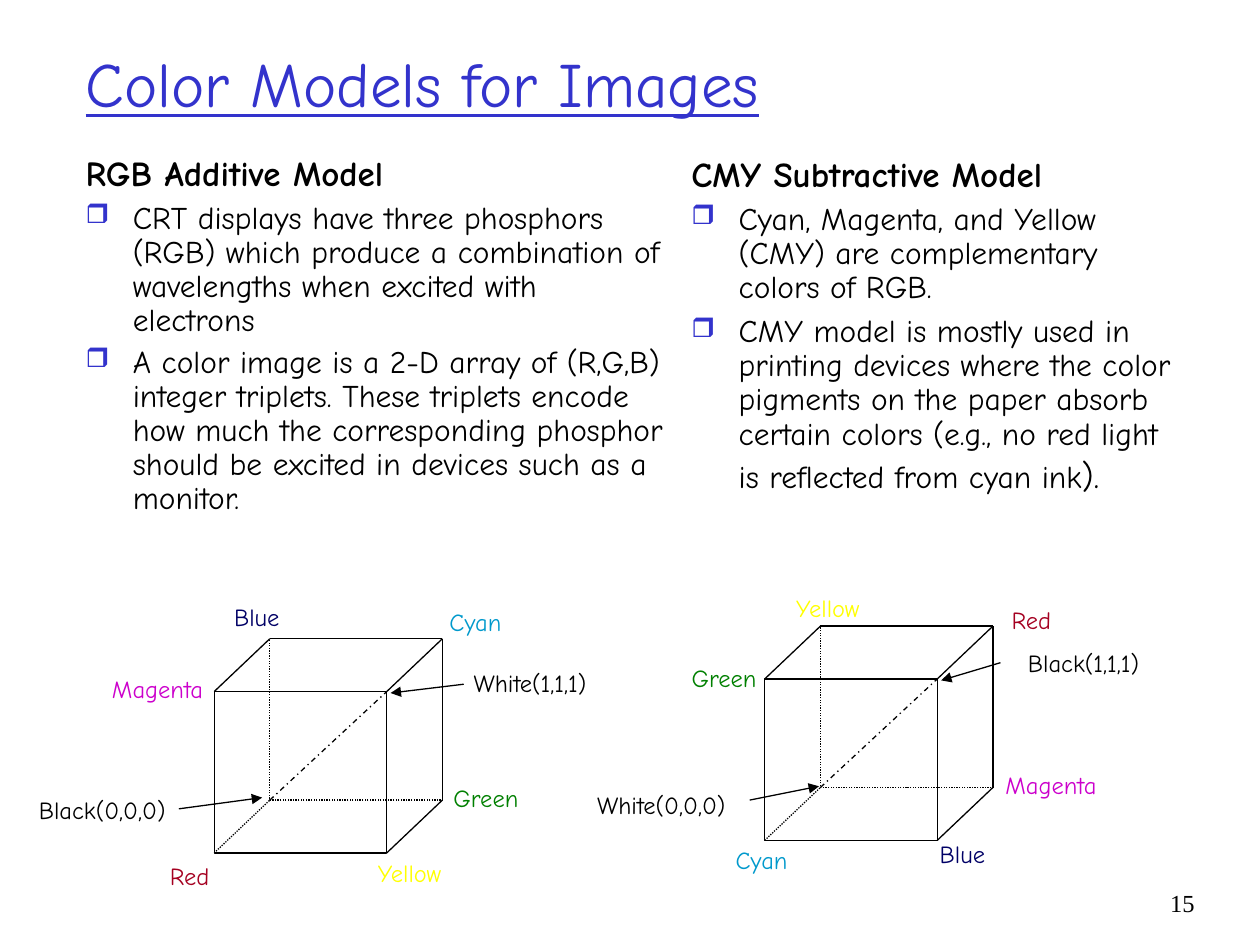
from lxml.etree import SubElement
from pptx import Presentation
from pptx.dml.color import RGBColor
from pptx.enum.dml import MSO_LINE
from pptx.enum.shapes import MSO_CONNECTOR, MSO_SHAPE
from pptx.enum.text import MSO_ANCHOR, PP_ALIGN
from pptx.oxml.ns import qn
from pptx.util import Pt

COLORS = {
    "title": "3333CC", "Black": "000000", "White": "000000",
    "Blue": "000066", "Cyan": "0099CC", "Red": "A50021",
    "Yellow": "FFFF00", "Green": "008000", "Magenta": "CC00CC",
}
FONT = "Comic Neue"
INDENT = 27
FRONT_W, FRONT_H = 98.6, 92.2

LEFT_TEXT = ("RGB Additive Model", [
    (4.5, [("CRT displays have three phosphors (RGB) which produce a combination "
            "of wavelengths when excited with electrons", 18)]),
    (4.5, [("A color image is a 2-D array of (R,G,B) integer triplets. These "
            "triplets encode how much the corresponding phosphor should be "
            "excited in devices such as a monitor.", 18)]),
])
RIGHT_TEXT = ("CMY Subtractive Model", [
    (4.5, [("Cyan, Magenta, and Yellow (CMY) are complementary colors of RGB.", 18)]),
    (6, [("CMY model is mostly used in printing devices where the color pigments "
          "on the paper absorb certain colors (e.g., no red light is reflected "
          "from cyan ink", 18), (").", 20), (" ", 24)]),
])

RGB_LABELS = [
    ("Blue", 4.3, -24.4, 50), ("Cyan", 127.4, -21.6, 50),
    ("Magenta", -65.5, 16.6, 70.6), ("White(1,1,1)", 141.1, 13, 98),
    ("Black(0,0,0)", -107.3, 85.7, 98), ("Green", 129.6, 79.2, 60),
    ("Red", -32.4, 123.2, 50), ("Yellow", 86.4, 121.7, 60),
]
CMY_LABELS = [
    ("Yellow", 10.8, -22.3, 60), ("Red", 134, -15.8, 50),
    ("Green", -48.9, 17.3, 60), ("Black(1,1,1)", 143.3, 8.7, 98),
    ("White(0,0,0)", -102.9, 90, 101.5), ("Magenta", 130.4, 78.5, 70.6),
    ("Cyan", -23.7, 121.7, 50), ("Blue", 92.9, 118.1, 50),
]
RGB_ARROWS = [((-20.2, 97.2), (27.4, 90.8)), ((142.6, 26), (100.8, 31))]
CMY_ARROWS = [((-8.6, 99.4), (31, 91.5)), ((134.7, 20.9), (100.8, 31))]


def add_run(p, text, size, color="Black", **fmt):
    r = p.add_run()
    r.text = text
    for name, value in {"name": FONT, "size": Pt(size), **fmt}.items():
        setattr(r.font, name, value)
    r.font.color.rgb = RGBColor.from_string(COLORS[color])


def add_box(s, box, anchor=MSO_ANCHOR.TOP):
    tf = s.shapes.add_textbox(*map(Pt, box)).text_frame
    tf.word_wrap = True
    tf.vertical_anchor = anchor
    return tf


def add_bullet(p):
    pPr = p._p.get_or_add_pPr()
    clr = SubElement(pPr, qn("a:buClr"))
    SubElement(clr, qn("a:srgbClr"), val=COLORS["title"])
    SubElement(pPr, qn("a:buSzPct"), val="85000")
    SubElement(pPr, qn("a:buChar"), char="❒")


def style_line(ln, dash):
    ln.color.rgb = RGBColor.from_string(COLORS["Black"])
    ln.width = Pt(0.75)
    if dash:
        ln.dash_style = dash


def add_line(s, start, end, dash=None, arrow=False):
    c = s.shapes.add_connector(MSO_CONNECTOR.STRAIGHT, *map(Pt, (*start, *end)))
    style_line(c.line, dash)
    if arrow:
        SubElement(c.line._get_or_add_ln(), qn("a:tailEnd"), type="triangle")
    SubElement(c._element.spPr, qn("a:effectLst"))


def add_face(s, x, y, dash=None):
    sp = s.shapes.add_shape(MSO_SHAPE.RECTANGLE, *map(Pt, (x, y, FRONT_W, FRONT_H)))
    sp.shadow.inherit = False
    sp.fill.background()
    style_line(sp.line, dash)


def add_title(s, box):
    p = add_box(s, box, MSO_ANCHOR.MIDDLE).paragraphs[0]
    add_run(p, "Color Models for Images", 36, "title", underline=True)


def add_column(s, box, heading, items):
    tf = add_box(s, box)
    tf.paragraphs[0].line_spacing = 0.9
    add_run(tf.paragraphs[0], heading, 20, bold=True)
    for space, runs in items:
        p = tf.add_paragraph()
        p.line_spacing = 0.9
        p.space_before = Pt(space)
        pPr = p._p.get_or_add_pPr()
        pPr.set("marL", str(Pt(INDENT)))
        pPr.set("indent", str(-Pt(INDENT)))
        add_bullet(p)
        for text, size in runs:
            add_run(p, text, size)


def add_cube(s, box, labels, arrows):
    x, y, w, h = box
    right, bottom = x + w, y + h
    front_top, front_right = bottom - FRONT_H, x + FRONT_W
    back_left, back_bottom = right - FRONT_W, y + FRONT_H
    dotted = MSO_LINE.ROUND_DOT

    add_face(s, x, front_top)
    add_face(s, back_left, y, dotted)
    add_line(s, (back_left, y), (right, y))
    add_line(s, (right, y), (right, back_bottom))
    add_line(s, (x, bottom), (back_left, back_bottom), dotted)
    add_line(s, (front_right, front_top), (right, y))
    add_line(s, (front_right, bottom), (right, back_bottom))
    add_line(s, (x, front_top), (back_left, y))
    add_line(s, (back_left, back_bottom), (front_right, front_top), MSO_LINE.DASH_DOT)

    for text, dx, dy, width in labels:
        p = add_box(s, (x + dx, y + dy, width, 24.5)).paragraphs[0]
        add_run(p, text, 14, text.split("(")[0])
    for (x1, y1), (x2, y2) in arrows:
        add_line(s, (x + x1, y + y1), (x + x2, y + y2), arrow=True)


def add_page_number(s, box):
    p = add_box(s, box).paragraphs[0]
    p.alignment = PP_ALIGN.RIGHT
    add_run(p, "15", 14, name="Times New Roman")


def main():
    prs = Presentation()
    prs.slide_width, prs.slide_height = Pt(720), Pt(540)
    s = prs.slides.add_slide(prs.slide_layouts[6])
    add_page_number(s, (653.8, 504, 36, 36))
    add_title(s, (41.8, 18, 612, 58.3))
    add_column(s, (41.8, 85.7, 346.3, 253.4), *LEFT_TEXT)
    add_column(s, (388, 86.4, 293.8, 226.8), *RIGHT_TEXT)
    add_cube(s, (122.4, 365, 130.4, 122.4), RGB_LABELS, RGB_ARROWS)
    add_cube(s, (437, 357.8, 130.4, 122.4), CMY_LABELS, CMY_ARROWS)
    prs.save("out.pptx")


if __name__ == "__main__":
    main()
